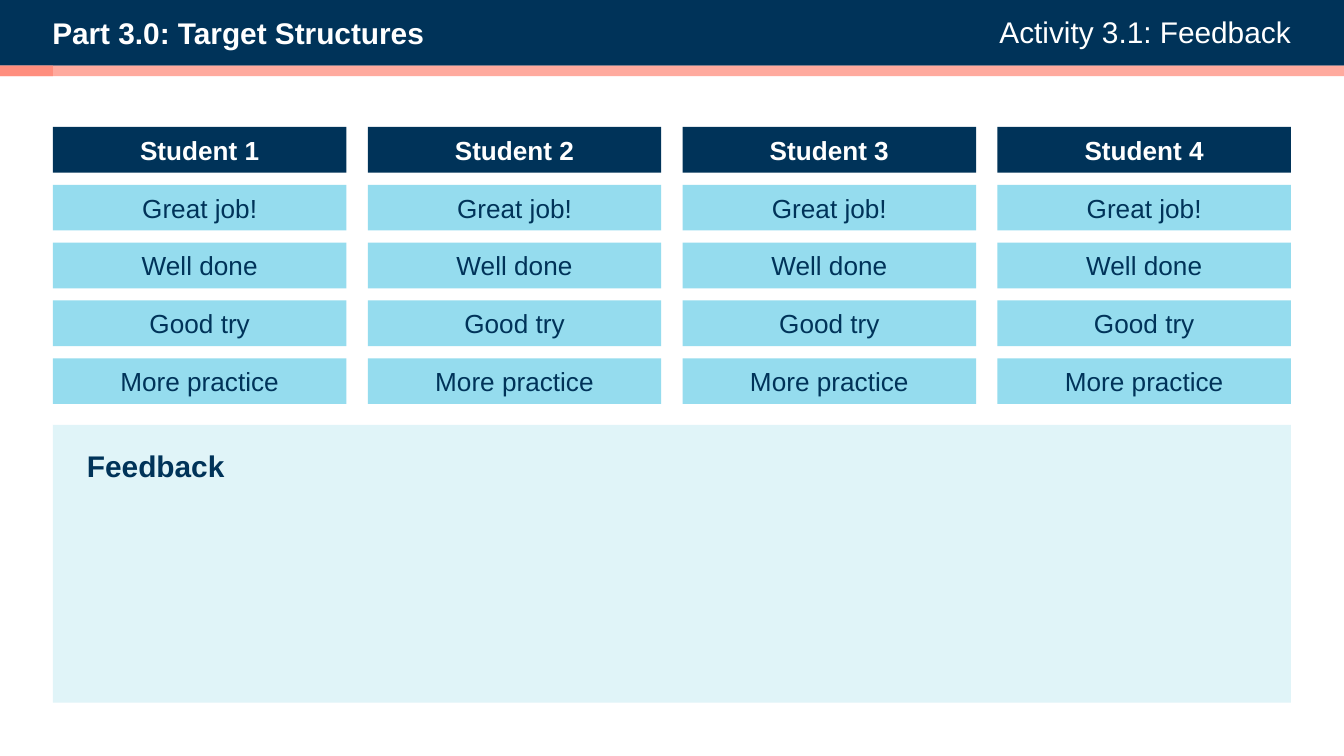
from dataclasses import dataclass

from lxml.etree import SubElement
from pptx import Presentation
from pptx.dml.color import RGBColor
from pptx.enum.shapes import MSO_SHAPE
from pptx.enum.text import MSO_ANCHOR, MSO_AUTO_SIZE, PP_ALIGN
from pptx.oxml.ns import qn
from pptx.util import Pt


@dataclass(frozen=True)
class Theme:
    font: str = "Arial"
    navy: str = "003359"
    sky: str = "95DCEE"
    ice: str = "E0F4F8"
    coral: str = "FF8E7E"
    white: str = "FFFFFF"
    heading: float = 16
    label: float = 14


class SlideBuilder:
    def __init__(self, page, theme):
        self.page = page
        self.theme = theme

    def group(self):
        return self.page.shapes.add_group_shape()

    def rectangle(self, left, top, width, height, color, group=None, opacity=None):
        shapes = (group or self.page).shapes
        shape = shapes.add_shape(
            MSO_SHAPE.RECTANGLE, Pt(left), Pt(top), Pt(width), Pt(height))
        shape.shadow.inherit = False
        shape.fill.solid()
        shape.fill.fore_color.rgb = RGBColor.from_string(color)
        shape.line.fill.background()
        if opacity is not None:
            fill_color = next(shape.element.iter(qn("a:srgbClr")))
            SubElement(fill_color, qn("a:alpha"), val=str(opacity * 1000))
        return shape

    def style_text(self, box, text, size, color, bold=False,
                   align=PP_ALIGN.LEFT, anchor=MSO_ANCHOR.TOP):
        frame = box.text_frame
        frame.text = text
        frame.word_wrap = True
        frame.auto_size = MSO_AUTO_SIZE.NONE
        frame.vertical_anchor = anchor
        frame.margin_left = frame.margin_right = 0
        frame.margin_top = frame.margin_bottom = 0
        para = frame.paragraphs[0]
        para.alignment = align
        font = para.runs[0].font
        font.name = self.theme.font
        font.size = Pt(size)
        font.bold = bold
        font.color.rgb = RGBColor.from_string(color)

    def text(self, left, top, width, height, text, size, color, group=None, **style):
        shapes = (group or self.page).shapes
        box = shapes.add_textbox(Pt(left), Pt(top), Pt(width), Pt(height))
        self.style_text(box, text, size, color, **style)

    def title(self, left, top, width, height, text, backdrop):
        box = self.page.shapes.title
        box.left, box.top, box.width, box.height = map(Pt, (left, top, width, height))
        self.style_text(box, text, self.theme.heading, self.theme.white, bold=True)
        box.element.addprevious(backdrop.element)

    def column(self, left, top, width, height, pitch, entries):
        theme = self.theme
        group = self.group()
        rows = [(top + row * pitch, entry, row == 0)
                for row, entry in enumerate(entries)]
        for row_top, _, is_header in rows:
            self.rectangle(left, row_top, width, height,
                           theme.navy if is_header else theme.sky, group)
        for row_top, entry, is_header in rows:
            self.text(left + 4.7, row_top + 3, width - 9.4, height - 6, entry,
                      theme.label, theme.white if is_header else theme.navy, group,
                      bold=is_header, align=PP_ALIGN.CENTER,
                      anchor=MSO_ANCHOR.MIDDLE)


def main():
    theme = Theme()
    slide_width, slide_height, margin = 720, 405, 28.4
    content_width = slide_width - 2 * margin

    deck = Presentation()
    deck.slide_width, deck.slide_height = Pt(slide_width), Pt(slide_height)
    page = deck.slides.add_slide(deck.slide_layouts.get_by_name("Title Only"))
    builder = SlideBuilder(page, theme)

    # Header bar
    bar_height = 35.2
    header = builder.rectangle(0, 0, slide_width, bar_height, theme.navy)
    builder.title(28, 8, 407, 19.4, "Part 3.0: Target Structures", header)
    builder.text(437, 7.2, slide_width - margin - 437, 20, "Activity 3.1: Feedback",
                 theme.heading, theme.white, align=PP_ALIGN.RIGHT)

    # One column of feedback choices per student
    column_count, column_width = 4, 157.2
    column_pitch = (content_width - column_width) / (column_count - 1)
    choices = ["Great job!", "Well done", "Good try", "More practice"]
    for index in range(column_count):
        builder.column(margin + index * column_pitch, 68, column_width, 24.5, 31,
                       [f"Student {index + 1}", *choices])

    # Feedback panel
    builder.rectangle(margin, 227.6, content_width, 148.8, theme.ice)
    builder.text(46.6, 239.6, 173, 19.4, "Feedback",
                 theme.heading, theme.navy, bold=True)

    # Accent stripe under the header
    stripe = builder.group()
    builder.rectangle(0, bar_height, slide_width, 5.6, theme.coral, stripe, opacity=75)
    builder.rectangle(0, bar_height, margin, 5.6, theme.coral, stripe)

    deck.save("out.pptx")


if __name__ == "__main__":
    main()
